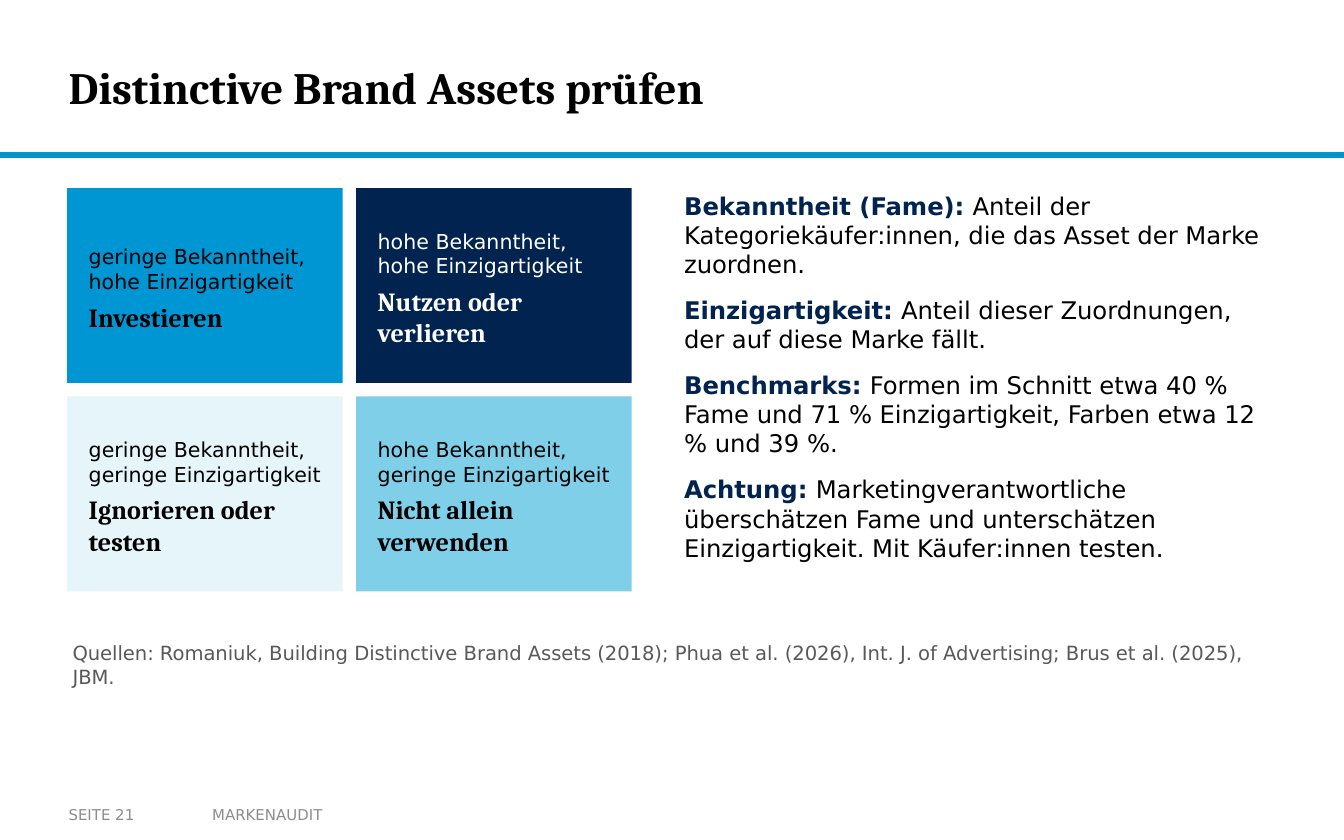
"""Build the slide on checking distinctive brand assets."""
from dataclasses import dataclass
from typing import NamedTuple

from pptx import Presentation
from pptx import util as u
from pptx.dml.color import RGBColor
from pptx.enum import shapes, text

PX = 9144


class Box(NamedTuple):
    left: int
    top: int
    width: int
    height: int

    def emu(self) -> list[u.Emu]:
        return [u.Emu(value * PX) for value in self]


@dataclass(frozen=True)
class Theme:
    heading: str = "Cambria"
    body: str = "DejaVu Sans"
    black: str = "000000"
    white: str = "FFFFFF"
    navy: str = "002350"
    blue: str = "0096D3"
    teal: str = "0C94B7"
    sky: str = "80CFE9"
    pale: str = "E5F5FA"
    source: str = "595959"
    footer: str = "8C8C8C"
    title_size: float = 24
    action_size: float = 14
    body_size: float = 13
    label_size: float = 11
    source_size: float = 10.5
    footer_size: float = 8


THEME = Theme()


class Style(NamedTuple):
    name: str
    size: float
    color: str
    bold: bool = False


class Run(NamedTuple):
    text: str
    style: Style


class Quadrant(NamedTuple):
    column: int
    row: int
    label: str
    action: str
    fill: str
    ink: str = THEME.black


class Definition(NamedTuple):
    term: str
    meaning: str


QUADRANTS = [
    Quadrant(0, 0, "geringe Bekanntheit, hohe Einzigartigkeit", "Investieren", THEME.blue),
    Quadrant(1, 0, "hohe Bekanntheit, hohe Einzigartigkeit", "Nutzen oder verlieren",
             THEME.navy, THEME.white),
    Quadrant(0, 1, "geringe Bekanntheit, geringe Einzigartigkeit", "Ignorieren oder testen",
             THEME.pale),
    Quadrant(1, 1, "hohe Bekanntheit, geringe Einzigartigkeit", "Nicht allein verwenden",
             THEME.sky),
]
DEFINITIONS = [
    Definition("Bekanntheit (Fame): ",
               "Anteil der Kategoriekäufer:innen, die das Asset der Marke zuordnen."),
    Definition("Einzigartigkeit: ", "Anteil dieser Zuordnungen, der auf diese Marke fällt."),
    Definition("Benchmarks: ", "Formen im Schnitt etwa 40 % Fame und 71 % Einzigartigkeit, "
               "Farben etwa 12 % und 39 %."),
    Definition("Achtung: ", "Marketingverantwortliche überschätzen Fame und unterschätzen "
               "Einzigartigkeit. Mit Käufer:innen testen."),
]
SOURCES = ("Quellen: Romaniuk, Building Distinctive Brand Assets (2018); Phua et al. (2026), "
           "Int. J. of Advertising; Brus et al. (2025), JBM.")
FOOTERS = [("MARKENAUDIT", Box(148, 592, 352, 28), 10), ("SEITE 21", Box(51, 592, 98, 28), 0)]
GRID = Box(50, 140, 205, 145)
GAP = 10
INSET = 12


def apply(target, values: dict) -> None:
    """Set each named attribute on the target."""
    for name, value in values.items():
        setattr(target, name, value)


def write(frame, paragraphs: list[list[Run]], margins: tuple[int, int] = (4, 2),
          anchor=text.MSO_ANCHOR.TOP, fit=text.MSO_AUTO_SIZE.SHAPE_TO_FIT_TEXT,
          after: int = 0) -> None:
    """Fill a text frame with styled paragraphs."""
    side, edge = (u.Emu(value * PX) for value in margins)
    apply(frame, {"word_wrap": True, "auto_size": fit, "vertical_anchor": anchor,
                  "margin_left": side, "margin_right": side,
                  "margin_top": edge, "margin_bottom": edge})
    for index, runs in enumerate(paragraphs):
        paragraph = frame.add_paragraph() if index else frame.paragraphs[0]
        apply(paragraph, {"alignment": text.PP_ALIGN.LEFT, "space_before": u.Pt(0),
                          "space_after": u.Pt(after)})
        for content, style in runs:
            run = paragraph.add_run()
            run.text = content
            apply(run.font, {"name": style.name, "size": u.Pt(style.size), "bold": style.bold})
            run.font.color.rgb = RGBColor.from_string(style.color)


def add_text(slide, box: Box, paragraphs: list[list[Run]], **layout) -> None:
    """Add a text box holding the paragraphs."""
    write(slide.shapes.add_textbox(*box.emu()).text_frame, paragraphs, **layout)


def add_block(slide, box: Box, fill: str, line: str | None = None) -> None:
    """Add a flat rectangle, outlined only when a line colour is given."""
    shape = slide.shapes.add_shape(shapes.MSO_SHAPE.RECTANGLE, *box.emu())
    shape.shadow.inherit = False
    shape.fill.solid()
    shape.fill.fore_color.rgb = RGBColor.from_string(fill)
    if line:
        shape.line.color.rgb = RGBColor.from_string(line)
        shape.line.width = u.Pt(1)
    else:
        shape.line.fill.background()


def add_quadrant(slide, quadrant: Quadrant) -> None:
    """Add one cell of the fame and uniqueness matrix."""
    left = GRID.left + quadrant.column * (GRID.width + GAP)
    top = GRID.top + quadrant.row * (GRID.height + GAP)
    add_block(slide, Box(left, top, GRID.width, GRID.height), quadrant.fill)
    label = Style(THEME.body, THEME.label_size, quadrant.ink)
    action = Style(THEME.heading, THEME.action_size, quadrant.ink, True)
    add_text(slide, Box(left + INSET, top + INSET, GRID.width - 20, GRID.height - 20),
             [[Run(quadrant.label, label)], [Run(quadrant.action, action)]],
             anchor=text.MSO_ANCHOR.MIDDLE, after=4)


def main() -> None:
    """Build and save the presentation."""
    presentation = Presentation()
    apply(presentation, {"slide_width": u.Emu(1000 * PX), "slide_height": u.Emu(625 * PX)})
    slide = presentation.slides.add_slide(presentation.slide_layouts[5])
    fixed = {"anchor": text.MSO_ANCHOR.MIDDLE, "fit": text.MSO_AUTO_SIZE.NONE}

    add_block(slide, Box(0, 114, 1000, 3), THEME.teal, THEME.blue)
    title = slide.shapes.title
    apply(title, dict(zip(("left", "top", "width", "height"), Box(51, 15, 748, 99).emu())))
    heading = Style(THEME.heading, THEME.title_size, THEME.black, True)
    write(title.text_frame, [[Run("Distinctive Brand Assets prüfen", heading)]],
          margins=(0, 0), **fixed)

    footer = Style(THEME.body, THEME.footer_size, THEME.footer)
    for content, box, side in FOOTERS:
        add_text(slide, box, [[Run(content, footer)]], margins=(side, 5), **fixed)

    for quadrant in QUADRANTS:
        add_quadrant(slide, quadrant)

    term = Style(THEME.body, THEME.body_size, THEME.navy, True)
    meaning = Style(THEME.body, THEME.body_size, THEME.black)
    add_text(slide, Box(505, 140, 445, 305),
             [[Run(item.term, term), Run(item.meaning, meaning)] for item in DEFINITIONS],
             after=9)
    add_text(slide, Box(50, 475, 900, 35),
             [[Run(SOURCES, Style(THEME.body, THEME.source_size, THEME.source))]])
    presentation.save("out.pptx")


if __name__ == "__main__":
    main()
